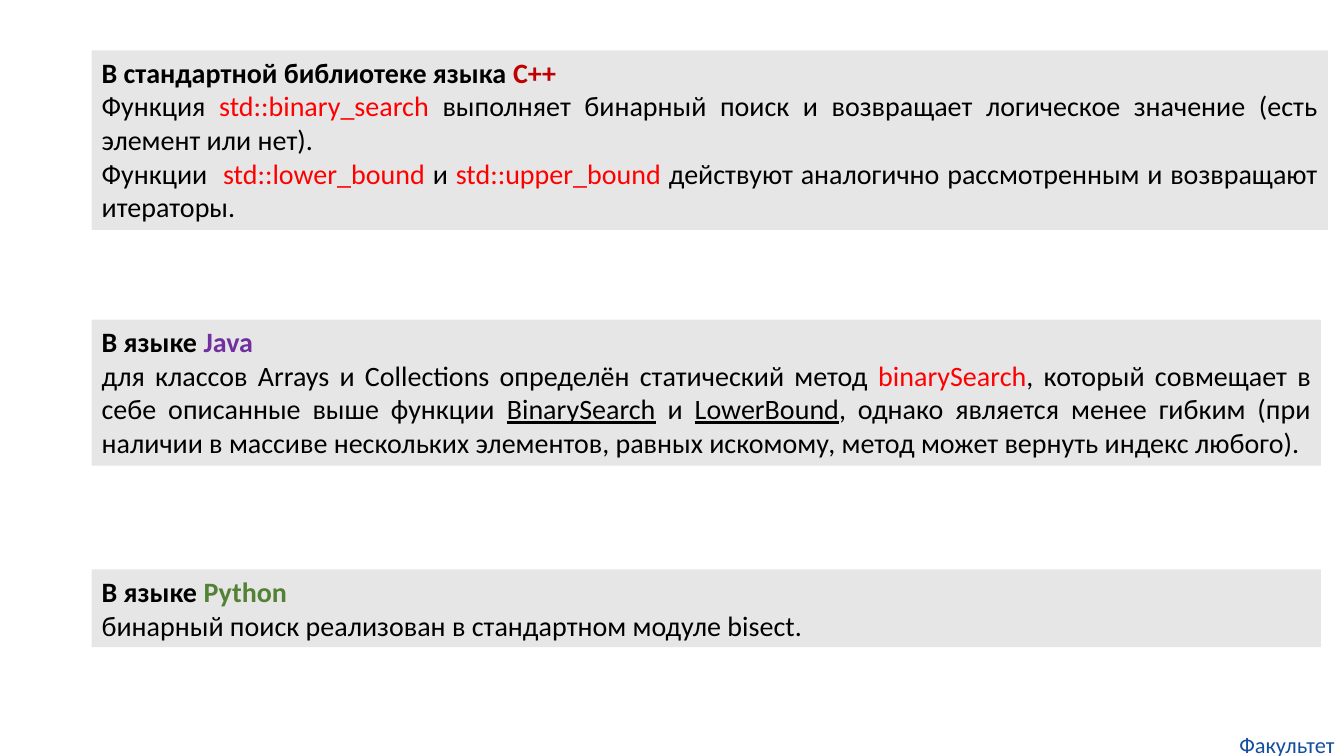
from dataclasses import dataclass

from pptx import Presentation
from pptx.dml.color import RGBColor
from pptx.enum.shapes import MSO_SHAPE
from pptx.enum.text import MSO_ANCHOR, PP_ALIGN as AL
from pptx.text.text import TextFrame
from pptx.util import Inches, Pt

BLACK = RGBColor(0x00, 0x00, 0x00)
RED = RGBColor(0xFF, 0x00, 0x00)
DARK_RED = RGBColor(0xC0, 0x00, 0x00)
PURPLE = RGBColor(0x70, 0x30, 0xA0)
GREEN = RGBColor(0x54, 0x82, 0x35)
BLUE = RGBColor(0x14, 0x4E, 0x9D)
GRAY = RGBColor(0xE7, 0xE6, 0xE6)
FONT = "Calibri"
WIDTH, HEIGHT = 13.33, 7.5
PANEL_LEFT = 0.91


@dataclass(frozen=True)
class Span:
    text: str
    color: RGBColor = BLACK
    underline: bool = False


@dataclass(frozen=True)
class Panel:
    top: float
    width: float
    height: float
    intro: str
    language: str
    color: RGBColor
    body: tuple[tuple[Span, ...], ...]
    align: AL = AL.JUSTIFY


PANELS = (
    Panel(0.5, 12.26, 1.78, "В стандартной библиотеке языка ", "C++", DARK_RED, (
        (Span("Функция "), Span("std::binary_search ", RED),
         Span("выполняет бинарный поиск и возвращает логическое значение "
              "(есть элемент или нет).")),
        (Span("Функции  "), Span("std::lower_bound ", RED), Span("и "),
         Span("std::upper_bound ", RED),
         Span("действуют аналогично рассмотренным и возвращают итераторы.")),
    )),
    Panel(3.17, 12.19, 1.45, "В языке ", "Java", PURPLE, (
        (Span("для классов Arrays и Collections определён статический метод "),
         Span("binarySearch", RED),
         Span(", который совмещает в себе описанные выше функции "),
         Span("BinarySearch", underline=True), Span(" и "),
         Span("LowerBound", underline=True),
         Span(", однако является менее гибким (при наличии в массиве "
              "нескольких элементов, равных искомому, метод может вернуть "
              "индекс любого).")),
    )),
    Panel(5.65, 12.19, 0.77, "В языке ", "Python", GREEN, (
        (Span("бинарный поиск реализован в стандартном модуле bisect."),),
    ), AL.LEFT),
)


def write_line(tf: TextFrame, spans: tuple[Span, ...], *, size: int = 20,
               bold: bool = False, align: AL = AL.LEFT,
               first: bool = False) -> None:
    p = tf.paragraphs[0] if first else tf.add_paragraph()
    p.alignment = align
    for span in spans:
        r = p.add_run()
        r.text = span.text
        r.font.name = FONT
        r.font.size = Pt(size)
        r.font.bold = bold
        r.font.underline = span.underline
        r.font.color.rgb = span.color


def draw_panel(s, panel: Panel) -> None:
    sp = s.shapes.add_shape(MSO_SHAPE.RECTANGLE, Inches(PANEL_LEFT), Inches(panel.top),
                            Inches(panel.width), Inches(panel.height))
    sp.shadow.inherit = False
    sp.fill.solid()
    sp.fill.fore_color.rgb = GRAY
    sp.line.fill.background()
    tf = sp.text_frame
    tf.word_wrap = True
    tf.vertical_anchor = MSO_ANCHOR.TOP
    write_line(tf, (Span(panel.intro), Span(panel.language, panel.color)),
               bold=True, first=True)
    for spans in panel.body:
        write_line(tf, spans, align=panel.align)


def draw_footer(s, text: str, *, width: float, height: float) -> None:
    sp = s.shapes.add_textbox(Inches(WIDTH - width), Inches(7.25),
                              Inches(width), Inches(height))
    tf = sp.text_frame
    tf.word_wrap = True
    tf.margin_left = tf.margin_right = tf.margin_top = tf.margin_bottom = 0
    write_line(tf, (Span(text, BLUE),), size=16, align=AL.CENTER, first=True)


prs = Presentation()
prs.slide_width, prs.slide_height = Inches(WIDTH), Inches(HEIGHT)
s = prs.slides.add_slide(prs.slide_layouts[6])
for panel in PANELS:
    draw_panel(s, panel)
draw_footer(s, "Факультет", width=1.13, height=0.27)
prs.save("out.pptx")
